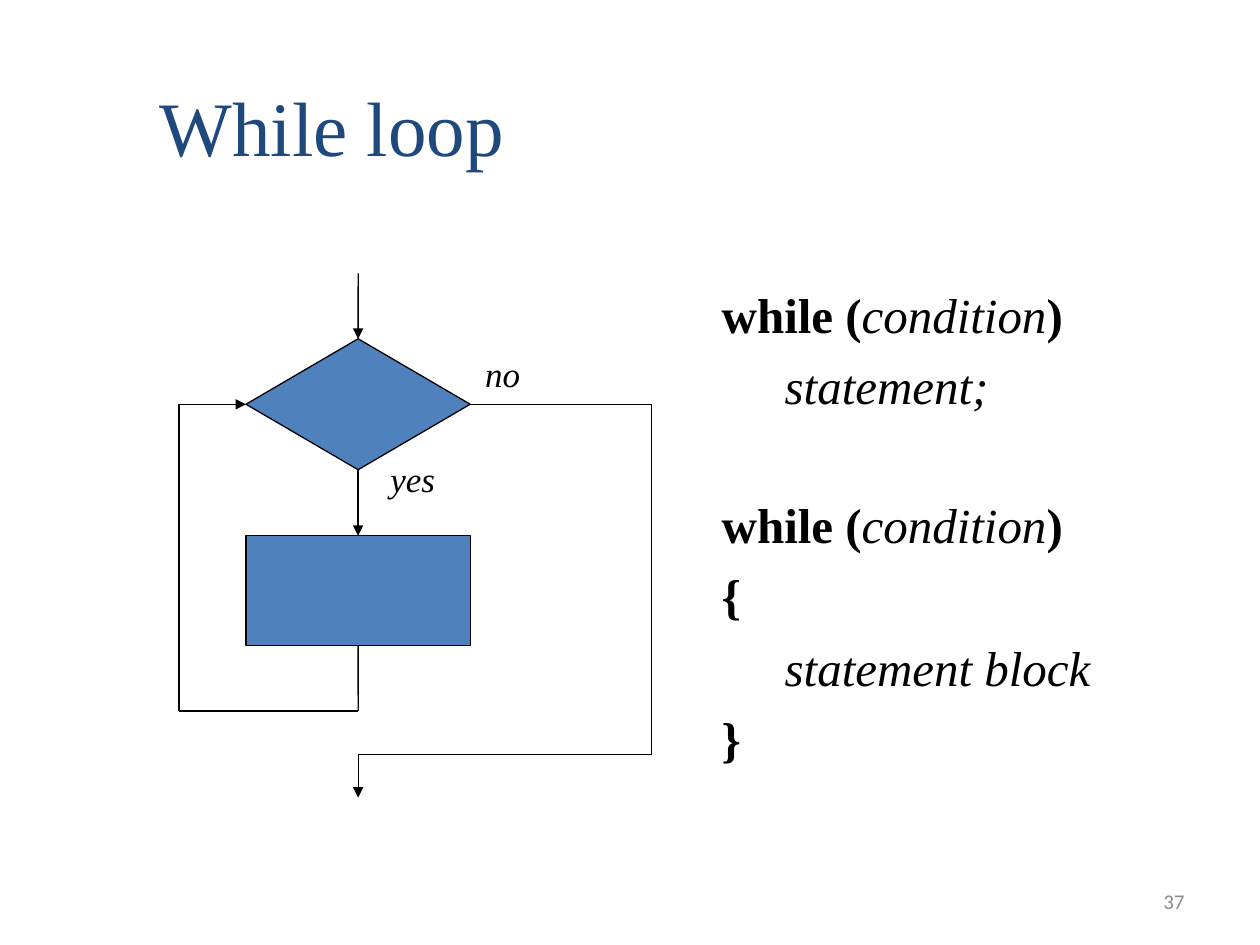
from lxml import etree
from pptx import Presentation
from pptx import util as u
from pptx.dml.color import RGBColor
from pptx.enum import shapes, text
from pptx.oxml.ns import qn

BLACK = RGBColor(0x00, 0x00, 0x00)
BLUE = RGBColor(0x4F, 0x81, 0xBD)
NAVY = RGBColor(0x1F, 0x49, 0x7D)
GRAY = RGBColor(0x8C, 0x8C, 0x8C)
SERIF = "Times New Roman"

presentation = Presentation()
presentation.slide_width, presentation.slide_height = u.Cm(25.4), u.Cm(19.05)
slide = presentation.slides.add_slide(presentation.slide_layouts[6])


def add_text(box, lines, size, color, name=SERIF, anchor=text.MSO_ANCHOR.TOP):
    """Each line is a list of (wording, font format) runs."""
    frame = slide.shapes.add_textbox(*map(u.Cm, box)).text_frame
    frame.word_wrap = True
    frame.vertical_anchor = anchor
    for number, line in enumerate(lines):
        paragraph = frame.paragraphs[0] if number == 0 else frame.add_paragraph()
        for wording, style in line:
            run = paragraph.add_run()
            run.text = wording
            run.font.color.rgb = color
            for key, value in {"name": name, "size": u.Pt(size), **style}.items():
                setattr(run.font, key, value)
    return frame.paragraphs


def add_line(start, end, arrow=False):
    line = slide.shapes.add_connector(
        shapes.MSO_CONNECTOR.STRAIGHT, *map(u.Cm, (*start, *end)))
    line.line.color.rgb = BLACK
    line.line.width = u.Pt(0.75)
    if arrow:
        etree.SubElement(line.line._get_or_add_ln(), qn("a:tailEnd"), type="triangle")
    etree.SubElement(line._element.spPr, qn("a:effectLst"))
    return line


# Title and slide number
add_text((2.97, 3.17, 21.59, 0.43), [[("While loop", {})]], 44, NAVY,
         anchor=text.MSO_ANCHOR.BOTTOM)
page_number = add_text((18.21, 17.65, 5.92, 1.02), [[("37", {})]], 12, GRAY,
                       "Calibri", text.MSO_ANCHOR.MIDDLE)
page_number[0].alignment = text.PP_ALIGN.RIGHT

# Code: statements are indented, a wide gap parts the two forms
bold, italic = {"bold": True}, {"italic": True}
header = [("while (", bold), ("condition", italic), (")", bold)]
code = [
    (header, 0, 0),
    ([("statement;", italic)], 1.27, 7),
    (header, 0, 46),
    ([("{", bold)], 0, 7),
    ([("statement block", italic)], 1.27, 7),
    ([("}", bold)], 0, 7),
]
paragraphs = add_text((14.3, 5.61, 10.06, 10.9), [row[0] for row in code], 28, BLACK)
for paragraph, (_, indent, gap) in zip(paragraphs, code):
    paragraph.space_before = u.Pt(gap)
    paragraph._p.get_or_add_pPr().set("marL", str(u.Cm(indent)))

# Flowchart nodes
center, node_width = 7.22, 4.52
left, right = center - node_width / 2, center + node_width / 2
decision_top, decision_height = 6.83, 2.64
process_top, process_height = 10.8, 2.21
decision_middle = decision_top + decision_height / 2
decision_bottom = decision_top + decision_height
process_bottom = process_top + process_height
nodes = []
for kind, top, height in (
    (shapes.MSO_SHAPE.FLOWCHART_DECISION, decision_top, decision_height),
    (shapes.MSO_SHAPE.FLOWCHART_PROCESS, process_top, process_height),
):
    node = slide.shapes.add_shape(kind, *map(u.Cm, (left, top, node_width, height)))
    node.shadow.inherit = False
    node.fill.solid()
    node.fill.fore_color.rgb = BLUE
    node.line.color.rgb = BLACK
    node.line.width = u.Pt(0.75)
    nodes.append(node)
decision, process = nodes

# Entry and "yes" branch
add_line((center, 5.51), (center, decision_top), True).end_connect(decision, 0)
yes_branch = add_line((center, decision_bottom), (center, process_top), True)
yes_branch.begin_connect(decision, 2)
yes_branch.end_connect(process, 0)

# Loop back to the condition
loop_left, loop_bottom = 3.61, 14.33
add_line((center, process_bottom), (center, loop_bottom)).begin_connect(process, 2)
add_line((center, loop_bottom), (loop_left, loop_bottom))
add_line((loop_left, loop_bottom), (loop_left, decision_middle))
add_line((loop_left, decision_middle), (left, decision_middle), True).end_connect(decision, 1)

# "no" branch to the exit
exit_right, exit_top = 13.13, 15.21
add_line((right, decision_middle), (exit_right, decision_middle)).begin_connect(decision, 3)
add_line((exit_right, decision_middle), (exit_right, exit_top))
add_line((exit_right, exit_top), (center, exit_top))
add_line((center, exit_top), (center, 16.08), True)

# Branch labels
for wording, x, y in (("yes", 7.62, 9.09), ("no", 9.53, 6.99)):
    add_text((x, y, 3.18, 1.09), [[(wording, italic)]], 20, BLACK)

presentation.save("out.pptx")
